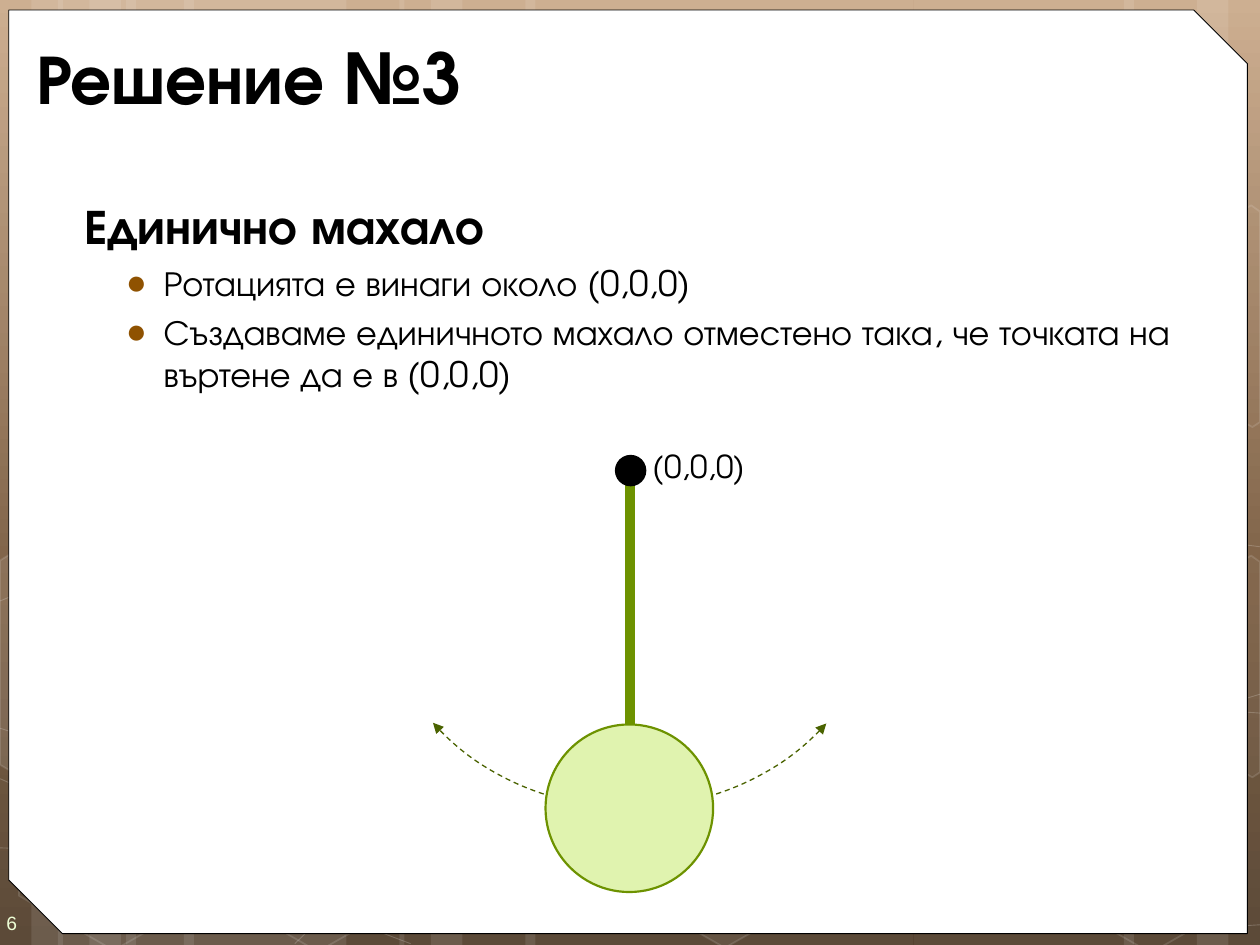
from copy import deepcopy
from dataclasses import dataclass

from lxml.etree import SubElement
from pptx import Presentation
from pptx.dml.color import RGBColor
from pptx.enum.dml import MSO_LINE
from pptx.enum.shapes import MSO_CONNECTOR, MSO_SHAPE
from pptx.enum.text import MSO_ANCHOR
from pptx.oxml.ns import qn
from pptx.util import Pt

PX = 9144  # EMU per px, 100 px to the inch


@dataclass(frozen=True)
class Theme:
    backdrop: tuple = ((0, "C8A685"), (0.62, "705032"), (1, "4A3622"))
    paper: str = "FFFFFF"
    ink: str = "000000"
    bullet: str = "8F5201"
    rod: str = "6D9200"
    bob: str = "E0F3AF"
    swing: str = "4A6300"
    number: str = "EEFFD6"
    font: str = "TeX Gyre Adventor"
    number_font: str = "Arial"
    title_size: int = 40
    heading_size: int = 28
    body_size: int = 20
    label_size: int = 18
    number_size: int = 11


def write(para, text, *, font, size, color, bold=False, before=0,
          margin=0, indent=0, bullet=None):
    """Put one formatted run into a paragraph."""
    span = para.add_run()
    span.text = text
    span.font.name, span.font.size, span.font.bold = font, Pt(size), bold
    span.font.color.rgb = RGBColor.from_string(color)
    para.space_before = Pt(before)
    props = para._p.get_or_add_pPr()
    props.set("marL", str(margin * PX))
    props.set("indent", str(indent * PX))
    if bullet:
        tint = SubElement(props, qn("a:buClr"))
        SubElement(tint, qn("a:srgbClr"), val=bullet)
        SubElement(props, qn("a:buFont"), typeface="Arial")
        SubElement(props, qn("a:buChar"), char="●")


class Slide:
    def __init__(self, page, theme):
        self.page, self.theme = page, theme

    def backdrop(self):
        fill = self.page.background.fill
        fill.gradient()
        fill.gradient_angle = 270
        stops = self.page.element.find(".//" + qn("a:gsLst"))
        stops.append(deepcopy(stops[0]))
        for stop, (position, color) in zip(fill.gradient_stops, self.theme.backdrop):
            stop.position = position
            stop.color.rgb = RGBColor.from_string(color)

    def paint(self, fill, color, opacity=100):
        """Give a fill one colour, or none; opacity in percent."""
        if color is None:
            fill.background()
            return
        fill.solid()
        fill.fore_color.rgb = RGBColor.from_string(color)
        if opacity < 100:
            for node in fill._xPr.find(qn("a:solidFill")):
                SubElement(node, qn("a:alpha"), val=str(opacity * 1000))

    def finish(self, shape, fill, opacity, line, width, line_opacity):
        shape.shadow.inherit = False
        self.paint(shape.fill, fill, opacity)
        self.paint(shape.line.fill, line, line_opacity)
        if line:
            shape.line.width = Pt(width)
        return shape

    def shape(self, kind, left, top, width, height, *, fill=None, opacity=100,
              line=None, weight=1, line_opacity=100, adjust=(), turn=0):
        shape = self.page.shapes.add_shape(
            kind, left * PX, top * PX, width * PX, height * PX)
        for index, value in enumerate(adjust):
            shape.adjustments[index] = value
        shape.rotation = turn
        return self.finish(shape, fill, opacity, line, weight, line_opacity)

    def outline(self, points, *, close=False, fill=None, opacity=100,
                weight=1, line_opacity=100):
        builder = self.page.shapes.build_freeform(*points[0], scale=PX)
        builder.add_line_segments(points[1:], close=close)
        return self.finish(builder.convert_to_shape(), fill, opacity,
                           self.theme.paper, weight, line_opacity)

    def line(self, start, end, color, weight):
        line = self.page.shapes.add_connector(
            MSO_CONNECTOR.STRAIGHT, *(value * PX for value in start + end))
        self.paint(line.line.fill, color)
        line.line.width = Pt(weight)
        SubElement(line._element.spPr, qn("a:effectLst"))

    def arc(self, left, top, width, height, start, end):
        arc = self.shape(MSO_SHAPE.ARC, left, top, width, height,
                         line=self.theme.swing, weight=0.75, adjust=(start, end))
        arc.line.dash_style = MSO_LINE.DASH
        for tag in ("a:headEnd", "a:tailEnd"):
            SubElement(arc.line._get_or_add_ln(), qn(tag), type="triangle")

    def text(self, left, top, width, height, paras, *, anchor=MSO_ANCHOR.TOP,
             wrap=True, insets=(10, 5, 10, 5)):
        box = self.page.shapes.add_textbox(
            left * PX, top * PX, width * PX, height * PX)
        frame = box.text_frame
        frame.word_wrap, frame.vertical_anchor = wrap, anchor
        (frame.margin_left, frame.margin_top,
         frame.margin_right, frame.margin_bottom) = (value * PX for value in insets)
        for index, (text, style) in enumerate(paras):
            para = frame.add_paragraph() if index else frame.paragraphs[0]
            write(para, text, **style)


# Translucent bands: left and width
BANDS = [(100, 175), (0, 50), (25, 83), (146, 175), (46, 50), (71, 83),
         (725, 175), (950, 50), (892, 83), (417, 308), (317, 50), (342, 83)]
# Thin lines sweeping across the backdrop
SWEEPS = [
    [(0, 673), (182, 678), (450, 665), (783, 617), (1000, 551)],
    [(0, 477), (113, 431), (339, 387), (646, 387), (1000, 434)],
    [(0, 618), (120, 671), (326, 749)],
    [(0, 578), (120, 616), (348, 673), (620, 718), (844, 736), (937, 738), (1000, 734)],
    [(234, 749), (294, 691), (379, 639), (461, 609), (600, 578), (672, 569),
     (786, 562), (944, 562), (1000, 566)],
]
# Hexagons reaching the bottom edge: left, top, fill opacity
HEXAGONS = [(3, 591, 0), (165, 592, 0), (488, 589, 6), (826, 593, 0)]
# Hexagons cut by the side edges: fill opacity, corners
LEFT_CUT = [(0, 445), (11, 438), (87, 482), (87, 570), (12, 614), (0, 607)]
RIGHT_CUT = [(918, 485), (993, 441), (1000, 446), (1000, 613), (994, 617), (917, 573)]
CUT_HEXAGONS = [(10, LEFT_CUT), (4, RIGHT_CUT),
                (0, [(x, y - 278) for x, y in RIGHT_CUT])]


def draw_backdrop(slide, theme):
    slide.backdrop()
    for left, width in BANDS:
        slide.shape(MSO_SHAPE.RECTANGLE, left, 0, width, 750,
                    fill=theme.paper, opacity=10)
    for points in SWEEPS:
        slide.outline(points, weight=0.5, line_opacity=20)
    for left, top, opacity in HEXAGONS:
        slide.shape(MSO_SHAPE.HEXAGON, left, top, 175, 152, turn=30,
                    fill=theme.paper if opacity else None, opacity=opacity,
                    line=theme.paper, line_opacity=12, adjust=(0.29, 1.15))
    for opacity, corners in CUT_HEXAGONS:
        slide.outline(corners, close=True, fill=theme.paper if opacity else None,
                      opacity=opacity, line_opacity=12)
    # Paper panel
    slide.shape(MSO_SHAPE.SNIP_2_DIAG_RECTANGLE, 7, 8, 983, 733, fill=theme.paper,
                line=theme.ink, weight=0.5, adjust=(0, 0.058))


def draw_texts(slide, theme):
    plain = dict(font=theme.font, color=theme.ink)
    number = dict(font=theme.number_font, size=theme.number_size, color=theme.number)
    title = dict(plain, size=theme.title_size, bold=True)
    heading = dict(plain, size=theme.heading_size, bold=True, before=6, margin=7)
    item = dict(plain, size=theme.body_size, before=4, margin=70, indent=-30,
                bullet=theme.bullet)
    slide.text(0, 710, 58, 40, [("6", number)], anchor=MSO_ANCHOR.MIDDLE,
               insets=(5, 15, 0, 10))
    slide.text(19, 25, 947, 71, [("Решение №3", title)], anchor=MSO_ANCHOR.MIDDLE)
    slide.text(50, 150, 942, 592, [
        ("Единично махало", heading),
        ("Ротацията е винаги около (0,0,0)", item),
        ("Създаваме единичното махало отместено така, "
         "че точката на въртене да е в (0,0,0)", item),
    ])


def draw_pendulum(slide, theme):
    label = dict(font=theme.font, size=theme.label_size, color=theme.ink)
    slide.line((500, 375), (500, 575), theme.rod, 6)
    slide.text(508, 350, 95, 40, [("(0,0,0)", label)], wrap=False)
    slide.shape(MSO_SHAPE.OVAL, 488, 361, 25, 25, fill=theme.ink)
    slide.arc(300, 283, 400, 358, 21.45, 86.68)
    slide.shape(MSO_SHAPE.OVAL, 433, 575, 133, 133, fill=theme.bob,
                line=theme.rod, weight=1.25)


def main():
    theme = Theme()
    deck = Presentation()
    deck.slide_width, deck.slide_height = 1000 * PX, 750 * PX
    slide = Slide(deck.slides.add_slide(deck.slide_layouts[6]), theme)
    draw_backdrop(slide, theme)
    draw_texts(slide, theme)
    draw_pendulum(slide, theme)
    deck.save("out.pptx")


if __name__ == "__main__":
    main()
